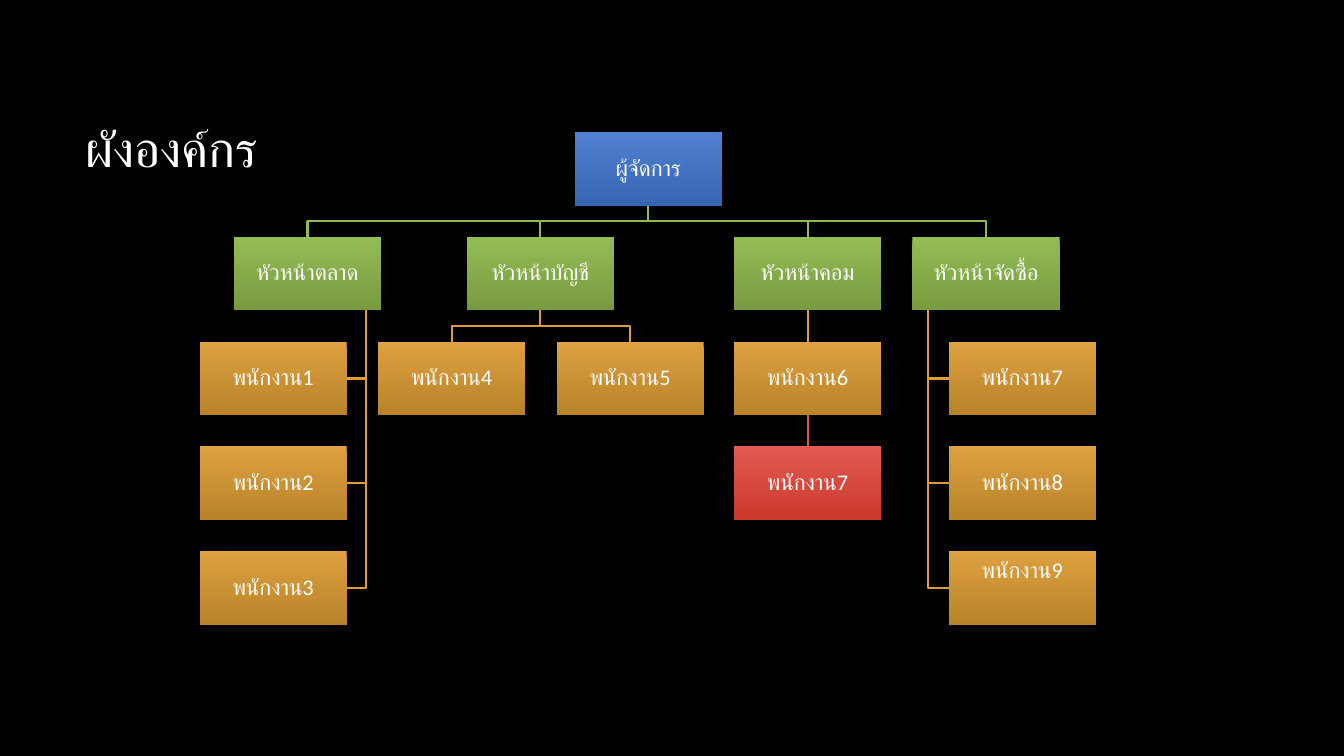
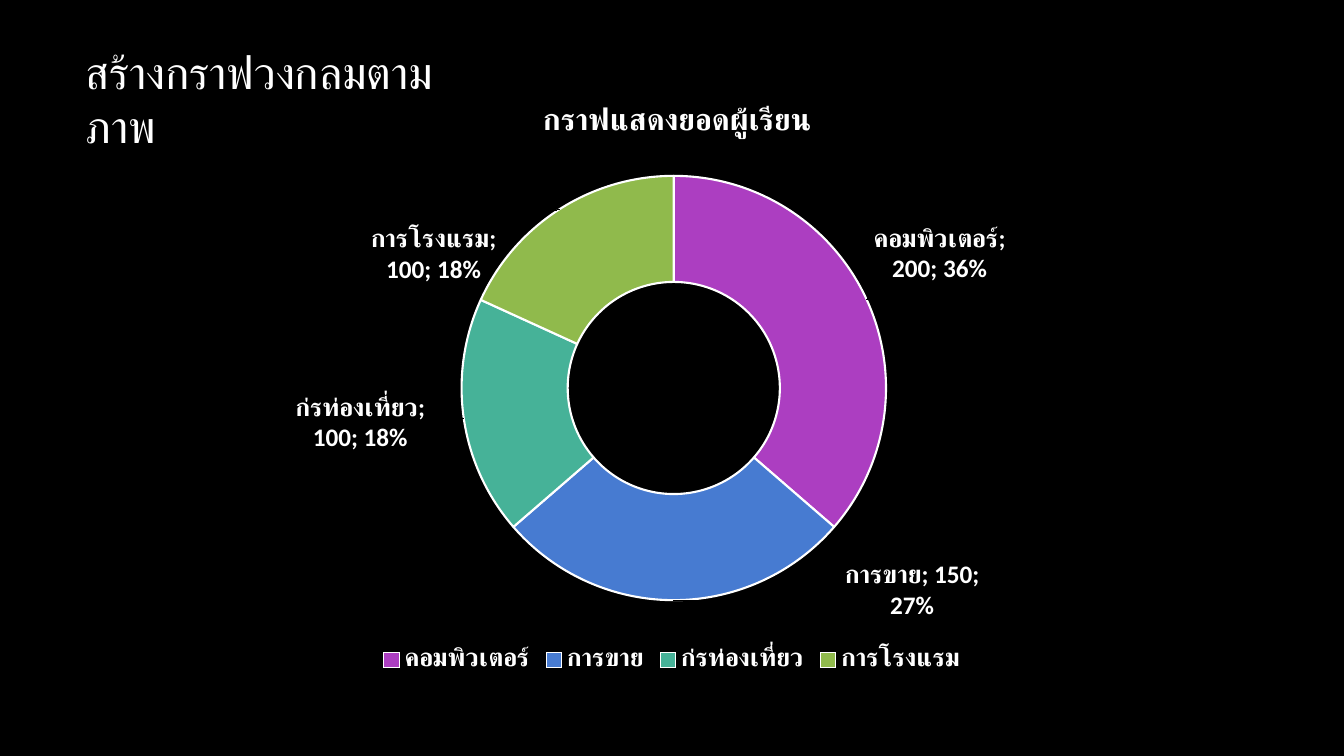
from copy import deepcopy
from dataclasses import dataclass

from lxml import etree
from pptx import Presentation
from pptx.chart.data import CategoryChartData
from pptx.dml.color import RGBColor
from pptx.enum.chart import XL_CHART_TYPE as ChartType, XL_LEGEND_POSITION as LegendPos
from pptx.enum.shapes import MSO_CONNECTOR as Connector, MSO_SHAPE as Shape
from pptx.enum.text import MSO_ANCHOR as Anchor, MSO_AUTO_SIZE as AutoSize, PP_ALIGN as Align
from pptx.oxml.ns import qn
from pptx.util import Inches, Pt


@dataclass(frozen=True)
class Theme:
    """Colours, type sizes and line widths shared by the slides."""
    font: str = "Calibri"
    back: str = "000000"
    ink: str = "FFFFFF"
    box_pt: float = 16
    label_pt: float = 18
    chart_title_pt: float = 21.6
    line_pt: float = 1.5
    levels: tuple = (
        ("5180D2", "3665B3", "477BD1"),
        ("93BC55", "789B3F", "90BA4C"),
        ("DEA040", "B88329", "DD9D31"),
        ("E35A51", "CB382C", "E25247"),
    )
    slices: tuple = ("AC3EC1", "477BD1", "46B298", "90BA4C")


@dataclass(frozen=True)
class Node:
    """One position in the organisation, with x relative to the diagram."""
    text: str
    x: float
    kids: tuple = ()
    hang: str = ""
    lift: float = 0


THEME = Theme()
BOX_W, BOX_H, ROW, SPINE, INSET = 1.46, 0.73, 1.04, 0.15, 0.01

STAFF = Node("ผู้จัดการ", 3.72, (
    Node("หัวหน้าตลาด", 0.34, tuple(Node(f"พนักงาน{n}", 0) for n in (1, 2, 3)), "left"),
    Node("หัวหน้าบัญชี", 2.65, (Node("พนักงาน4", 1.77), Node("พนักงาน5", 3.54))),
    Node("หัวหน้าคอม", 5.3, (Node("พนักงาน6", 5.3, (Node("พนักงาน7", 5.3),)),)),
    Node("หัวหน้าจัดซื้อ", 7.07, (
        Node("พนักงาน7", 7.43),
        Node("พนักงาน8", 7.43),
        Node("พนักงาน9", 7.43, lift=0.33),
    ), "right"),
))

STUDENTS = (
    ("คอมพิวเตอร์", 200, (0.135, -0.114)),
    ("การขาย", 150, (0.266, 0.072)),
    ("ก่รท่องเที่ยว", 100, (-0.174, 0.02)),
    ("การโรงแรม", 100, (-0.172, 0)),
)


def rgb(code):
    """Return the colour for a hex code."""
    return RGBColor.from_string(code)


def style_font(font, size, bold=False):
    """Apply the shared typeface and colour."""
    font.name = THEME.font
    font.size = Pt(size)
    font.bold = bold
    font.color.rgb = rgb(THEME.ink)


def add_titled_slide(prs, text, box, size):
    """Add a slide whose title fills the given box."""
    slide = prs.slides.add_slide(prs.slide_layouts[5])
    title = slide.shapes.title
    title.left, title.top, title.width, title.height = map(Inches, box)
    tf = title.text_frame
    tf.text = text
    tf.word_wrap = True
    tf.auto_size = AutoSize.NONE
    tf.vertical_anchor = Anchor.MIDDLE
    p = tf.paragraphs[0]
    p.alignment = Align.LEFT
    style_font(p.runs[0].font, size)
    return slide


def add_box(shapes, node, left, top, level):
    """Draw one gradient box with its centred name."""
    sp = shapes.add_shape(Shape.RECTANGLE, *map(Inches, (left, top, BOX_W, BOX_H)))
    sp.shadow.inherit = False
    sp.line.fill.background()
    sp.fill.gradient()
    sp.fill.gradient_angle = 270
    for stop, code, position in zip(sp.fill.gradient_stops, THEME.levels[level], (0, 1)):
        stop.color.rgb = rgb(code)
        stop.position = position
    tf = sp.text_frame
    tf.text = node.text
    tf.word_wrap = True
    tf.vertical_anchor = Anchor.MIDDLE
    tf.margin_left = tf.margin_right = tf.margin_top = Inches(INSET)
    tf.margin_bottom = Inches(INSET + node.lift)
    p = tf.paragraphs[0]
    p.alignment = Align.CENTER
    p.line_spacing = 0.9
    style_font(p.runs[0].font, THEME.box_pt)


def add_link(shapes, points, level):
    """Draw a straight or bent line through the points."""
    points = [(Inches(x), Inches(y)) for x, y in points]
    if points[0][0] == points[-1][0]:
        sp = shapes.add_connector(Connector.STRAIGHT, *points[0], *points[-1])
        etree.SubElement(sp.line._get_or_add_ln().getparent(), qn("a:effectLst"))
    else:
        builder = shapes.build_freeform(*points[0])
        builder.add_line_segments(points[1:], close=False)
        sp = builder.convert_to_shape()
        sp.fill.background()
        sp.shadow.inherit = False
    sp.line.color.rgb = rgb(THEME.levels[level][2])
    sp.line.width = Pt(THEME.line_pt)


def link_points(node, kid, left, bottom, kid_top, diagram_left):
    """Return the corners of the line from a box to one below it."""
    kid_left = diagram_left + kid.x
    if node.hang:
        on_left = node.hang == "left"
        spine = left + (BOX_W - SPINE if on_left else SPINE)
        edge = kid_left + (BOX_W if on_left else 0)
        middle = kid_top + BOX_H / 2
        return (spine, bottom), (spine, middle), (edge, middle)
    start, end = left + BOX_W / 2, kid_left + BOX_W / 2
    bend = (bottom + kid_top) / 2
    return (start, bottom), (start, bend), (end, bend), (end, kid_top)


def add_branch(shapes, node, origin, row=0, level=0):
    """Draw a box, its links and everything below it."""
    left, top = origin[0] + node.x, origin[1] + row * ROW
    for i, kid in enumerate(node.kids):
        kid_row = row + 1 + (i if node.hang else 0)
        kid_top = origin[1] + kid_row * ROW
        add_link(shapes, link_points(node, kid, left, top + BOX_H, kid_top, origin[0]), level + 1)
        add_branch(shapes, kid, origin, kid_row, level + 1)
    add_box(shapes, node, left, top, level)


def manual_layout(**values):
    """Return a chart layout element with the given settings."""
    layout = etree.Element(qn("c:layout"))
    manual = etree.SubElement(layout, qn("c:manualLayout"))
    for name, value in values.items():
        etree.SubElement(manual, qn(f"c:{name}")).set("val", str(value))
    return layout


def place_plot(chart):
    """Give the ring its place within the chart."""
    area = chart._chartSpace.find(".//" + qn("c:plotArea"))
    for old in area.findall(qn("c:layout")):
        area.remove(old)
    area.insert(0, manual_layout(layoutTarget="inner", xMode="edge", yMode="edge",
                                 x=0.265, y=0.161, w=0.474, h=0.71))
    area.find(".//" + qn("c:holeSize")).set("val", "75")


def add_chart_title(chart, text):
    """Write the heading over the ring."""
    chart.has_title = True
    title = chart.chart_title
    title.include_in_layout = False
    title.text_frame.text = text
    style_font(title.text_frame.paragraphs[0].runs[0].font, THEME.chart_title_pt, True)
    element = title._element
    for old in element.findall(qn("c:layout")):
        element.remove(old)
    element.find(qn("c:tx")).addnext(
        manual_layout(xMode="edge", yMode="edge", x=0.35, y=0.03))


def add_labels(series):
    """Show category, value and share outside each slice."""
    labels = series.data_labels
    labels.show_category_name = labels.show_value = labels.show_percentage = True
    style_font(labels.font, THEME.label_pt, True)
    root = labels._element
    root.find(".//" + qn("a:bodyPr")).set("wrap", "square")
    separator = etree.Element(qn("c:separator"))
    separator.text = "; "
    root.find(qn("c:showBubbleSize")).addnext(separator)
    shared = [e for e in root if e.tag != qn("c:showLeaderLines")]
    for i, (_, _, (dx, dy)) in enumerate(STUDENTS):
        label = etree.Element(qn("c:dLbl"))
        etree.SubElement(label, qn("c:idx")).set("val", str(i))
        label.append(manual_layout(x=dx, y=dy))
        label.extend(deepcopy(e) for e in shared)
        root.insert(i, label)


def add_ring(slide, box):
    """Draw the doughnut chart in the given box."""
    data = CategoryChartData()
    data.categories = [name for name, _, _ in STUDENTS]
    data.add_series("Series 1", [count for _, count, _ in STUDENTS])
    chart = slide.shapes.add_chart(ChartType.DOUGHNUT, *map(Inches, box), data).chart
    style_font(chart.font, THEME.label_pt, True)
    add_chart_title(chart, "กราฟแสดงยอดผู้เรียน")
    chart.has_legend = True
    chart.legend.position = LegendPos.BOTTOM
    chart.legend.include_in_layout = False
    style_font(chart.legend.font, THEME.label_pt, True)
    series = chart.plots[0].series[0]
    for i, code in enumerate(THEME.slices):
        form = series.points[i].format
        form.fill.solid()
        form.fill.fore_color.rgb = rgb(code)
        form.line.color.rgb = rgb(THEME.ink)
        form.line.width = Pt(THEME.line_pt)
    add_labels(series)
    place_plot(chart)


def main():
    """Build and save the presentation."""
    prs = Presentation()
    prs.slide_width, prs.slide_height = Inches(13.33), Inches(7.5)
    fill = prs.slide_master.background.fill
    fill.solid()
    fill.fore_color.rgb = rgb(THEME.back)
    slide = add_titled_slide(prs, "ผังองค์กร", (0.75, 0.67, 11.08, 1.59), 36)
    add_branch(slide.shapes, STAFF, (1.98, 1.31))
    slide = add_titled_slide(prs, "สร้างกราฟวงกลมตามภาพ", (0.75, 0.67, 3.83, 0.61), 32.4)
    add_ring(slide, (2.22, 0.79, 8.89, 5.93))
    prs.save("out.pptx")


if __name__ == "__main__":
    main()
